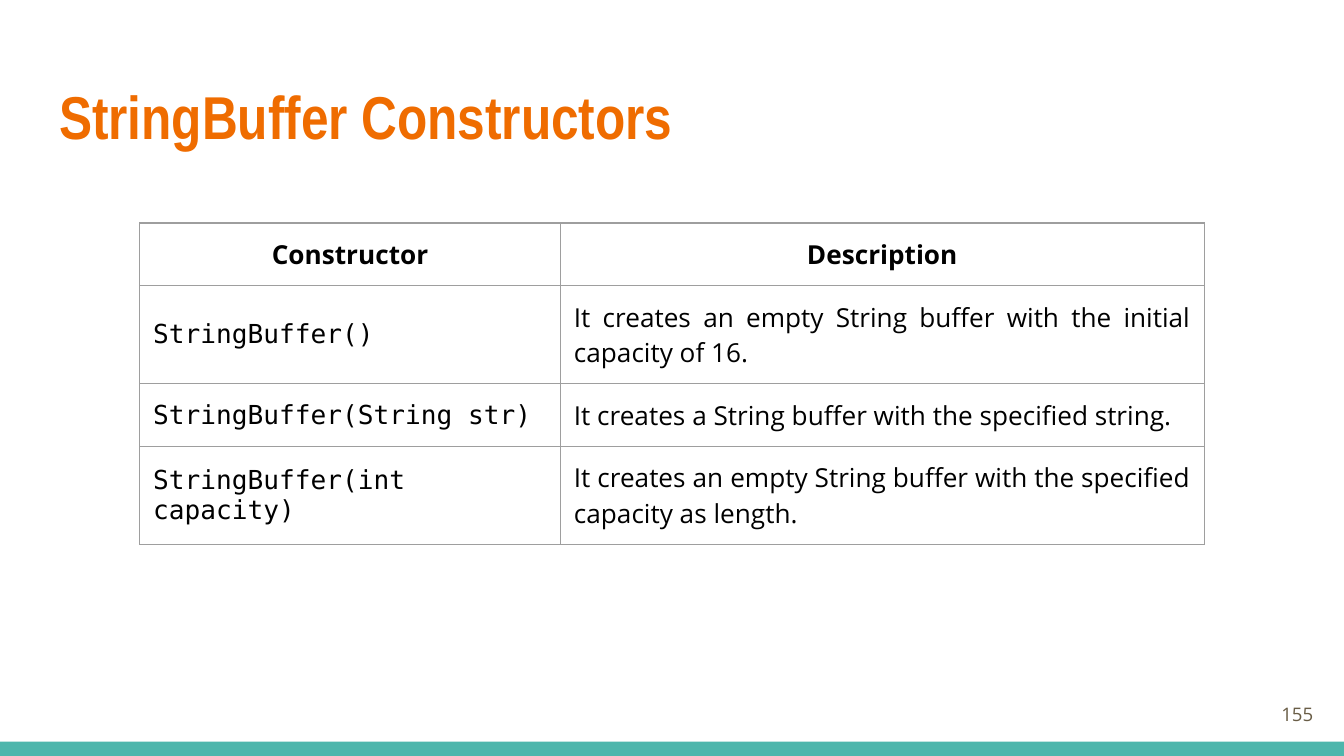
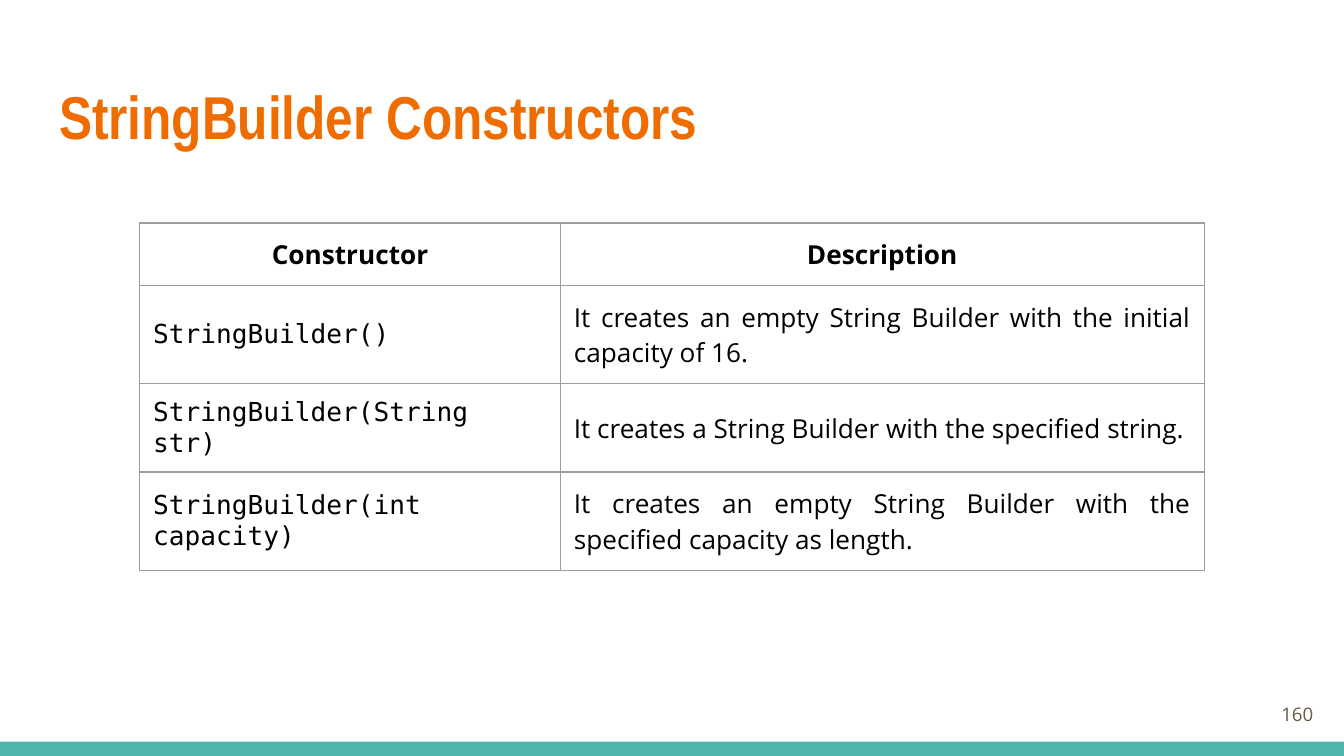
from lxml import etree
from pptx import Presentation
from pptx import util as u
from pptx.dml.color import RGBColor
from pptx.enum import shapes, text
from pptx.oxml.ns import qn

ORANGE = RGBColor(0xEF, 0x6C, 0x00)
TEAL = RGBColor(0x4D, 0xB6, 0xAC)
BROWN = RGBColor(0x69, 0x5D, 0x46)
GRAY = RGBColor(0x9E, 0x9E, 0x9E)
BLACK = RGBColor(0, 0, 0)
BODY_FONT = "Open Sans"
CODE_FONT = "DejaVu Sans Mono"
INSET = u.Inches(0.1)

presentation = Presentation()
presentation.slide_width = u.Inches(10)
presentation.slide_height = u.Inches(5.625)
COLUMN = presentation.slide_width / 100
ROW = presentation.slide_height / 100


def area(left, top, width, height):
    return [round(left * COLUMN), round(top * ROW), round(width * COLUMN), round(height * ROW)]


def write(frame, content, font=BODY_FONT, size=14, color=BLACK, bold=False,
          align=text.PP_ALIGN.LEFT):
    paragraph = frame.paragraphs[0]
    paragraph.alignment = align
    run = paragraph.add_run()
    run.text = content
    run.font.name = font
    run.font.size = u.Pt(size)
    run.font.bold = bold
    run.font.color.rgb = color


pages = [
    ("StringBuffer", "String buffer", 155),
    ("StringBuilder", "String Builder", 160),
]
column_widths = [31.3, 47.9]
row_height = 7.5

for class_name, noun, number in pages:
    slide = presentation.slides.add_slide(presentation.slide_layouts[5])

    band = slide.shapes.add_shape(shapes.MSO_SHAPE.RECTANGLE, *area(0, 98.1, 100, 1.9))
    band.shadow.inherit = False
    band.fill.solid()
    band.fill.fore_color.rgb = TEAL
    band.line.fill.background()

    title = slide.shapes.title
    title.left, title.top, title.width, title.height = area(3.4, 8.7, 93.2, 13.6)
    write(title.text_frame, f"{class_name} Constructors", font="Arial Narrow",
          size=32.4, color=ORANGE, bold=True)

    page_number = slide.shapes.add_textbox(*area(92.7, 90.7, 6, 7.6))
    write(page_number.text_frame, str(number), size=10, color=BROWN, align=text.PP_ALIGN.RIGHT)

    for shape, anchor in [(title, text.MSO_ANCHOR.TOP), (page_number, text.MSO_ANCHOR.MIDDLE)]:
        frame = shape.text_frame
        frame.word_wrap = True
        frame.auto_size = text.MSO_AUTO_SIZE.NONE
        frame.vertical_anchor = anchor
        frame.margin_left = frame.margin_right = INSET
        frame.margin_top = frame.margin_bottom = INSET

    rows = [
        ("Constructor", "Description"),
        (f"{class_name}()", f"It creates an empty {noun} with the initial capacity of 16."),
        (f"{class_name}(String str)", f"It creates a {noun} with the specified string."),
        (f"{class_name}(int capacity)",
         f"It creates an empty {noun} with the specified capacity as length."),
    ]
    table = slide.shapes.add_table(
        len(rows), len(column_widths),
        *area(10.4, 29.5, sum(column_widths), row_height * len(rows))).table
    table.first_row = table.horz_banding = False
    for column, width in zip(table.columns, column_widths):
        column.width = round(width * COLUMN)

    for row_index, row in enumerate(rows):
        for column_index, content in enumerate(row):
            cell = table.cell(row_index, column_index)
            cell.vertical_anchor = text.MSO_ANCHOR.MIDDLE
            cell.margin_left = cell.margin_right = INSET
            cell.margin_top = cell.margin_bottom = INSET
            properties = cell._tc.get_or_add_tcPr()
            for side in ("lnL", "lnR", "lnT", "lnB"):
                border = etree.SubElement(properties, qn(f"a:{side}"), w=str(u.Pt(0.75)))
                fill = etree.SubElement(border, qn("a:solidFill"))
                etree.SubElement(fill, qn("a:srgbClr"), val=str(GRAY))
            cell.fill.background()
            if row_index == 0:
                write(cell.text_frame, content, bold=True, align=text.PP_ALIGN.CENTER)
            elif column_index == 0:
                write(cell.text_frame, content, font=CODE_FONT)
            else:
                write(cell.text_frame, content, align=text.PP_ALIGN.JUSTIFY)

presentation.save("out.pptx")
